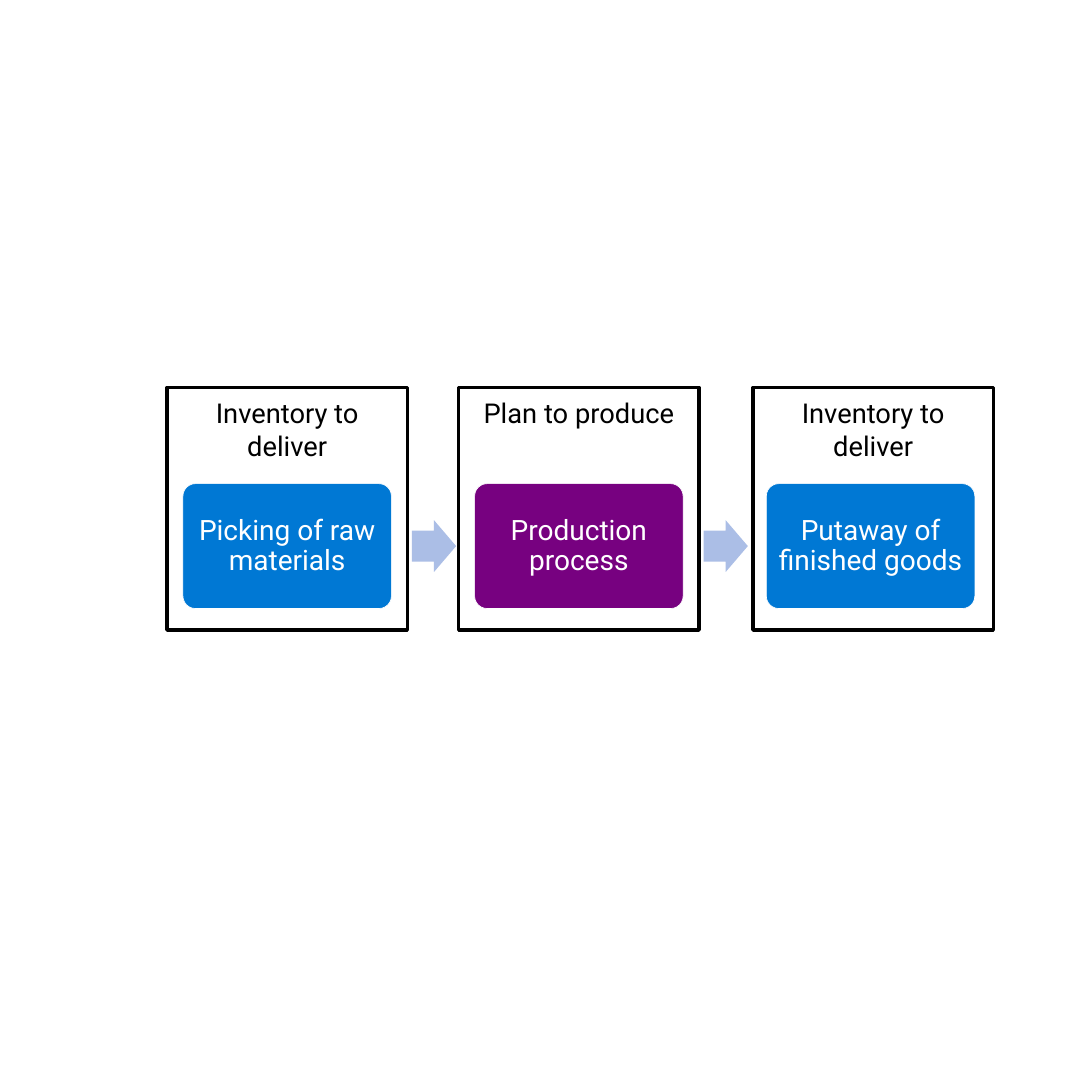
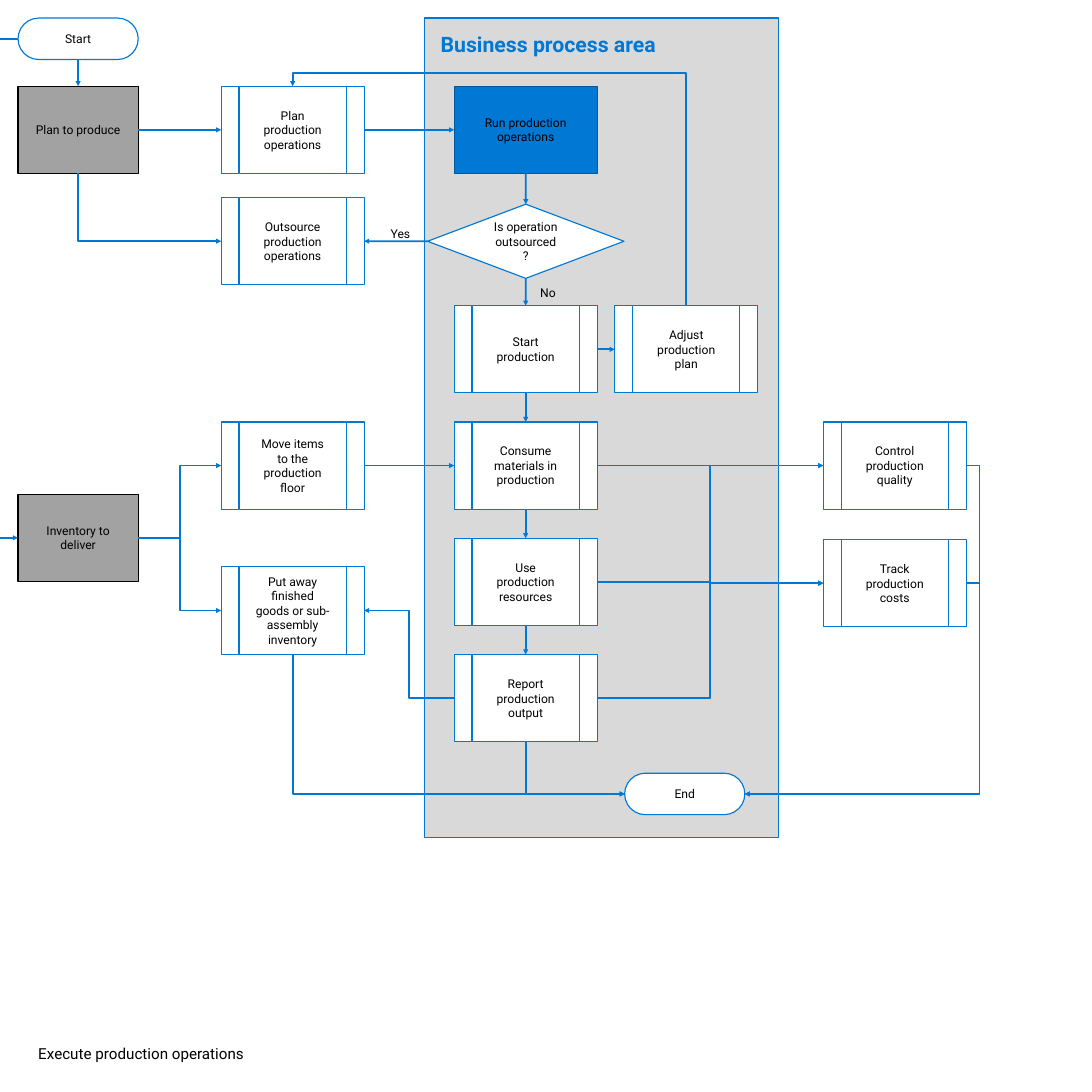
"""Builds two slides on production: a three-step overview and a detailed flowchart."""
import lxml.etree
import pptx
import pptx.dml.color
import pptx.enum.shapes
import pptx.enum.text
import pptx.oxml.ns
import pptx.util

Cm = pptx.util.Cm
Pt = pptx.util.Pt
qn = pptx.oxml.ns.qn
PRESET = pptx.enum.shapes.MSO_SHAPE
CONNECTOR = pptx.enum.shapes.MSO_CONNECTOR
ANCHOR = pptx.enum.text.MSO_ANCHOR
ALIGN = pptx.enum.text.PP_ALIGN

COLORS = {
    "blue": "0078D4",
    "dark_blue": "00599D",
    "purple": "770180",
    "pale_blue": "ABBEE6",
    "panel": "D9D9D9",
    "gray": "A2A2A2",
    "white": "FFFFFF",
    "black": "000000",
}
FONT = "Roboto"
TOP, LEFT, BOTTOM, RIGHT = range(4)

BOX_W, BOX_H = 6.65, 4.06
END_W, END_H = 5.59, 1.93
SOURCE_X, SUPPLY_X, RUN_X, ADJUST_X, CONTROL_X = 0.84, 10.29, 21.13, 28.6, 38.3
PLAN_Y, OUTSOURCE_Y = 4.01, 9.19
RUN_ROWS = [14.22 + 5.41 * row for row in range(4)]


def rgb(name):
    return pptx.dml.color.RGBColor.from_string(COLORS[name])


def apply(target, values):
    for name, value in values.items():
        setattr(target, name, value)


def write(shape, text, size, color="black", bold=False, align=ALIGN.CENTER,
          anchor=ANCHOR.MIDDLE, inset=(0, 0), spacing=None, wrap=True):
    side, edge = map(Cm, inset)
    apply(shape.text_frame, {
        "word_wrap": wrap, "vertical_anchor": anchor,
        "margin_left": side, "margin_right": side,
        "margin_top": edge, "margin_bottom": edge,
    })
    paragraph = shape.text_frame.paragraphs[0]
    apply(paragraph, {"text": text, "alignment": align, "line_spacing": spacing})
    apply(paragraph.font, {"name": FONT, "size": Pt(size), "bold": bold})
    paragraph.font.color.rgb = rgb(color)


def add_box(slide, preset, place, fill=None, line=None, width=1.5, adjust=()):
    shape = slide.shapes.add_shape(preset, *map(Cm, place))
    shape.shadow.inherit = False
    for index, value in enumerate(adjust):
        shape.adjustments[index] = value
    if fill:
        shape.fill.solid()
        shape.fill.fore_color.rgb = rgb(fill)
    else:
        shape.fill.background()
    if line:
        shape.line.color.rgb = rgb(line)
        shape.line.width = Pt(width)
    else:
        shape.line.fill.background()
    return shape


def add_label(slide, text, place, size=16, **style):
    label = slide.shapes.add_textbox(*map(Cm, place))
    write(label, text, size, anchor=ANCHOR.TOP, **style)


def add_node(slide, text, place, preset=PRESET.FLOWCHART_PREDEFINED_PROCESS,
             fill="white", line="blue", adjust=()):
    node = add_box(slide, preset, place, fill, line, adjust=adjust)
    write(node, text, 16, inset=(0.76, 0.61))
    return node


def style_arrow(arrow, head=True):
    arrow.line.color.rgb = rgb("blue")
    arrow.line.width = Pt(2.25)
    properties = arrow._element.spPr
    if head:
        lxml.etree.SubElement(properties.find(qn("a:ln")), qn("a:tailEnd"), type="triangle")
    lxml.etree.SubElement(properties, qn("a:effectLst"))


def turn_upright(arrow):
    """Rotates an elbow so that it leaves its start vertically."""
    dx, dy = arrow.end_x - arrow.begin_x, arrow.end_y - arrow.begin_y
    center_x = (arrow.begin_x + arrow.end_x) // 2
    center_y = (arrow.begin_y + arrow.end_y) // 2
    width, height = abs(dy), abs(dx)
    apply(arrow, {
        "left": center_x - width // 2, "top": center_y - height // 2,
        "width": width, "height": height,
    })
    frame = arrow._element.spPr.find(qn("a:xfrm"))
    frame.set("rot", "16200000")
    frame.set("flipH", str(int(dy > 0)))
    frame.set("flipV", str(int(dx < 0)))


def connect(slide, start, start_side, end, end_side, bend=None):
    """Glues an arrow to two nodes; bend places the middle leg of an elbow."""
    upright = start_side in (TOP, BOTTOM)
    corner = upright and end_side in (LEFT, RIGHT)
    elbow = corner or bend is not None
    arrow = slide.shapes.add_connector(
        CONNECTOR.ELBOW if elbow else CONNECTOR.STRAIGHT, 0, 0, 0, 0)
    arrow.begin_connect(start, start_side)
    arrow.end_connect(end, end_side)
    if elbow:
        geometry = arrow._element.spPr.find(qn("a:prstGeom"))
        if corner:
            geometry.set("prst", "bentConnector2")
        else:
            lxml.etree.SubElement(geometry.find(qn("a:avLst")), qn("a:gd"),
                                  name="adj1", fmla=f"val {round(bend * 100000)}")
        if upright:
            turn_upright(arrow)
    style_arrow(arrow)


def add_line(slide, points, head):
    line = slide.shapes.add_connector(CONNECTOR.STRAIGHT, *map(Cm, points))
    style_arrow(line, head)


def build_overview(slide):
    steps = [
        ("Inventory to deliver", 7.77, "Picking of raw materials", "blue"),
        ("Plan to produce", 21.34, "Production process", "purple"),
        ("Inventory to deliver", 35.03, "Putaway of finished goods", "blue"),
    ]
    for index, (area, area_x, step, color) in enumerate(steps):
        step_x = 8.51 + 13.57 * index
        step_box = add_box(slide, PRESET.ROUNDED_RECTANGLE, (step_x, 22.5, 9.7, 5.81),
                           color, "white", 0.85, adjust=(0.1,))
        write(step_box, step, 37, "white", inset=(0.38, 0.38), spacing=0.9)
        if index < len(steps) - 1:
            add_box(slide, PRESET.RIGHT_ARROW, (step_x + 10.65, 24.2, 2.06, 2.41),
                    "pale_blue", adjust=(0.6, 0.5))
        area_box = add_box(slide, PRESET.RECTANGLE, (area_x, 18.03, 11.18, 11.28),
                           line="black", width=4.5)
        write(area_box, area, 36, anchor=ANCHOR.TOP, inset=(0.51, 0.41))


def build_flowchart(slide):
    panel = add_box(slide, PRESET.RECTANGLE, (19.74, 0.84, 16.46, 38.13), "panel", "blue")
    write(panel, "Business process area", 28, "blue", True, ALIGN.LEFT, ANCHOR.TOP, (0.76, 0.61))

    start, end = [
        add_node(slide, text, (x, y, END_W, END_H), PRESET.ROUNDED_RECTANGLE, adjust=(0.5,))
        for text, x, y in [("Start", SOURCE_X, 0.84), ("End", 29.06, 35.97)]
    ]
    plan_source, inventory = [
        add_node(slide, text, (SOURCE_X, y, END_W, BOX_H), PRESET.RECTANGLE, "gray", "black")
        for text, y in [("Plan to produce", PLAN_Y), ("Inventory to deliver", 22.99)]
    ]
    run = add_node(slide, "Run production operations", (RUN_X, PLAN_Y, BOX_W, BOX_H),
                   PRESET.RECTANGLE, "blue", "dark_blue")
    decision = add_node(slide, "Is operation outsourced?", (19.89, 9.5, 9.14, 3.45),
                        PRESET.DIAMOND)
    processes = [
        ("Plan production operations", SUPPLY_X, PLAN_Y),
        ("Outsource production operations", SUPPLY_X, OUTSOURCE_Y),
        ("Move items to the production floor", SUPPLY_X, RUN_ROWS[1]),
        ("Put away finished goods or sub-assembly inventory", SUPPLY_X, 26.37),
        ("Start production", RUN_X, RUN_ROWS[0]),
        ("Consume materials in production", RUN_X, RUN_ROWS[1]),
        ("Use production resources", RUN_X, RUN_ROWS[2]),
        ("Report production output", RUN_X, RUN_ROWS[3]),
        ("Adjust production plan", ADJUST_X, RUN_ROWS[0]),
        ("Control production quality", CONTROL_X, RUN_ROWS[1]),
        ("Track production costs", CONTROL_X, 25.1),
    ]
    (plan, outsource, move, put_away, begin, consume, use, report,
     adjust, control, track) = [
        add_node(slide, text, (x, y, BOX_W, BOX_H)) for text, x, y in processes
    ]

    routes = [
        (start, BOTTOM, plan_source, TOP),
        (plan_source, RIGHT, plan, LEFT),
        (plan_source, BOTTOM, outsource, LEFT),
        (plan, RIGHT, run, LEFT),
        (run, BOTTOM, decision, TOP),
        (decision, LEFT, outsource, RIGHT),
        (decision, BOTTOM, begin, TOP),
        (begin, RIGHT, adjust, LEFT),
        (adjust, TOP, plan, TOP, 1.06),
        (begin, BOTTOM, consume, TOP),
        (consume, BOTTOM, use, TOP),
        (use, BOTTOM, report, TOP),
        (inventory, RIGHT, move, LEFT, 0.5),
        (inventory, RIGHT, put_away, LEFT, 0.5),
        (move, RIGHT, consume, LEFT),
        (consume, RIGHT, control, LEFT),
        (consume, RIGHT, track, LEFT, 0.5),
        (use, RIGHT, track, LEFT, 0.5),
        (report, RIGHT, track, LEFT, 0.5),
        (report, RIGHT, control, LEFT, 0.5),
        (report, LEFT, put_away, RIGHT, 0.5),
        (report, BOTTOM, end, LEFT),
        (put_away, BOTTOM, end, LEFT),
        (control, RIGHT, end, RIGHT, -0.06),
        (track, RIGHT, end, RIGHT, -0.06),
    ]
    for route in routes:
        connect(slide, *route)
    add_line(slide, (SOURCE_X, 1.8, 0, 1.8), head=False)
    add_line(slide, (0, 25.02, SOURCE_X, 25.02), head=True)

    add_label(slide, "Yes", (17.98, 10.54, 1.3, 0.69))
    add_label(slide, "No", (24.84, 13.26, 1.3, 0.69))
    add_label(slide, "Execute production operations", (1.78, 48.59, 9.63, 0.86),
              20, align=ALIGN.LEFT, wrap=False)


def main():
    deck = pptx.Presentation()
    apply(deck, {"slide_width": Cm(50.8), "slide_height": Cm(50.8)})
    for build in (build_overview, build_flowchart):
        build(deck.slides.add_slide(deck.slide_layouts[6]))
    deck.save("out.pptx")


if __name__ == "__main__":
    main()
